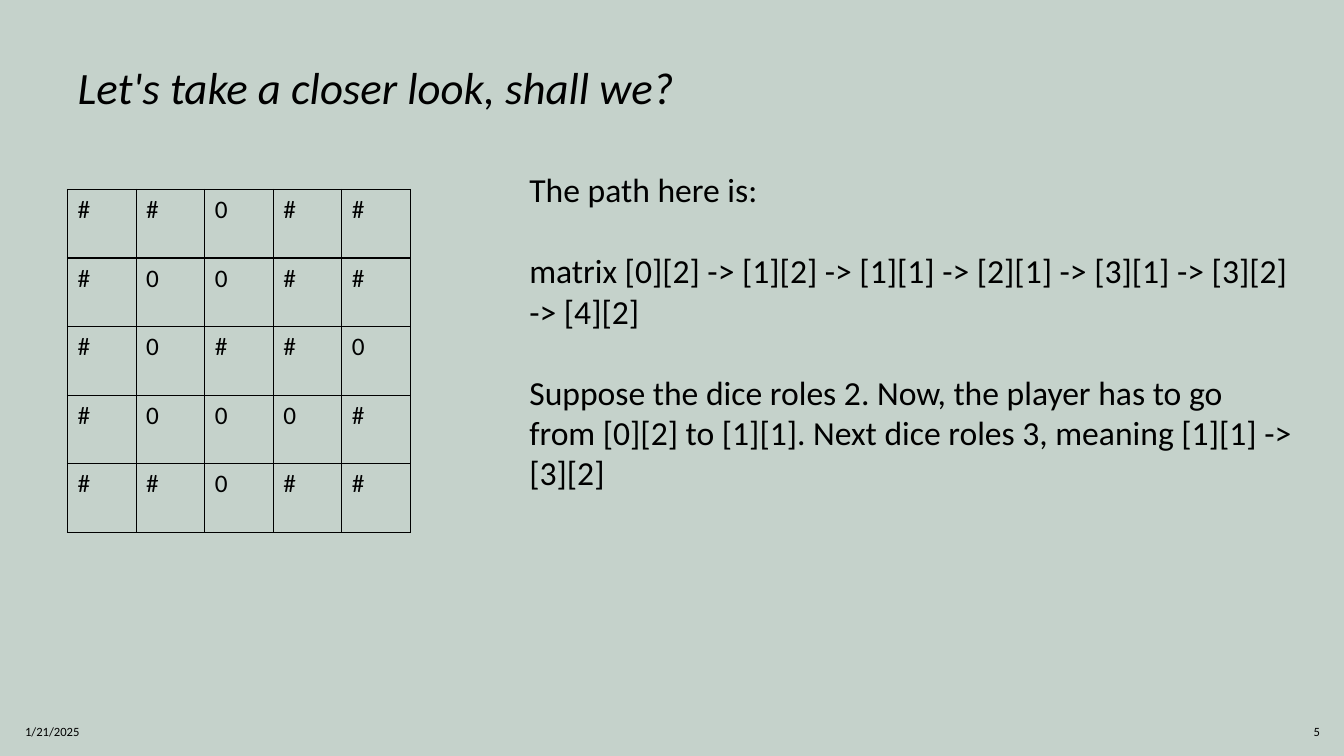
"""Builds the slide that walks through the path in a maze matrix."""
from lxml.etree import SubElement
from pptx import Presentation
from pptx.dml.color import RGBColor
from pptx.enum.text import MSO_ANCHOR as Anchor, MSO_AUTO_SIZE as AutoSize, PP_ALIGN as Align
from pptx.oxml.ns import qn
from pptx.util import Inches, Pt

TITLE = "Let's take a closer look, shall we?"
MAZE = ["##0##", "#00##", "#0##0", "#000#", "##0##"]
EXPLANATION = [
    "The path here is:",
    "matrix [0][2] -> [1][2] -> [1][1] -> [2][1] -> [3][1] -> [3][2] -> [4][2]",
    "Suppose the dice roles 2. Now, the player has to go from [0][2] to [1][1]. "
    "Next dice roles 3, meaning [1][1] -> [3][2]",
]
DATE, PAGE = "1/21/2025", "5"

SAGE = RGBColor(0xC5, 0xD2, 0xCB)
BLACK = RGBColor(0, 0, 0)
FONT = "Calibri"
WIDTH, HEIGHT = 13.33, 7.5
MARGIN = 0.67
CELL = 0.68
FOOTER_TOP, FOOTER_HEIGHT = 7.06, 0.4


def write(frame, paragraphs, size, italic=False, align=Align.LEFT,
          anchor=Anchor.TOP, gap=0, spacing=1.0):
    """Fill a text frame with evenly formatted paragraphs."""
    frame.word_wrap = True
    frame.vertical_anchor = anchor
    for index, text in enumerate(paragraphs):
        paragraph = frame.paragraphs[0] if index == 0 else frame.add_paragraph()
        paragraph.alignment = align
        paragraph.line_spacing = spacing
        paragraph.space_before = Pt(gap if index else 0)
        run = paragraph.add_run()
        run.text = text
        font = run.font
        font.name, font.size, font.italic = FONT, Pt(size), italic
        font.color.rgb = BLACK


def place(shape, left, top, width, height):
    """Move a shape to a box given in inches."""
    shape.left, shape.top = Inches(left), Inches(top)
    shape.width, shape.height = Inches(width), Inches(height)


def outline(cell):
    """Draw thin black borders on the four sides of a cell."""
    properties = cell._tc.get_or_add_tcPr()
    for index, side in enumerate(("a:lnL", "a:lnR", "a:lnT", "a:lnB")):
        border = properties.makeelement(qn(side), {"w": str(Pt(1))})
        fill = SubElement(border, qn("a:solidFill"))
        SubElement(fill, qn("a:srgbClr"), val=str(BLACK))
        properties.insert(index, border)


def add_maze(slide):
    """Add the maze as a table of square cells."""
    rows, columns = len(MAZE), len(MAZE[0])
    maze = slide.shapes.add_table(rows, columns, Inches(MARGIN), Inches(1.88),
                                  Inches(columns * CELL), Inches(rows * CELL)).table
    maze.first_row = maze.horz_banding = False
    for r, symbols in enumerate(MAZE):
        for c, symbol in enumerate(symbols):
            cell = maze.cell(r, c)
            write(cell.text_frame, [symbol], 18)
            cell.fill.background()
            outline(cell)


def add_explanation(body):
    """Set the body placeholder as plain paragraphs without bullets."""
    place(body, 5.15, 1.63, 7.8, 3.64)
    frame = body.text_frame
    write(frame, EXPLANATION, 24, gap=29)
    frame.auto_size = AutoSize.NONE
    for paragraph in frame.paragraphs:
        properties = paragraph._p.get_or_add_pPr()
        properties.set("marL", "0")
        properties.set("indent", "0")
        SubElement(properties, qn("a:buNone"))


def main():
    """Build and save the slide."""
    deck = Presentation()
    deck.slide_width, deck.slide_height = Inches(WIDTH), Inches(HEIGHT)
    slide = deck.slides.add_slide(deck.slide_layouts[1])
    background = slide.background.fill
    background.solid()
    background.fore_color.rgb = SAGE

    title, body = slide.placeholders
    place(title, MARGIN, 0.6, 11.65, 1.24)
    write(title.text_frame, [TITLE], 32, italic=True, spacing=0.9)
    title.text_frame.auto_size = AutoSize.NONE
    add_maze(slide)
    add_explanation(body)

    for text, left, width, align in ((DATE, 0.15, 3.82, Align.LEFT),
                                     (PAGE, 12.72, 0.47, Align.RIGHT)):
        footer = slide.shapes.add_textbox(Inches(left), Inches(FOOTER_TOP),
                                          Inches(width), Inches(FOOTER_HEIGHT))
        write(footer.text_frame, [text], 9, align=align, anchor=Anchor.MIDDLE)

    deck.save("out.pptx")


if __name__ == "__main__":
    main()
